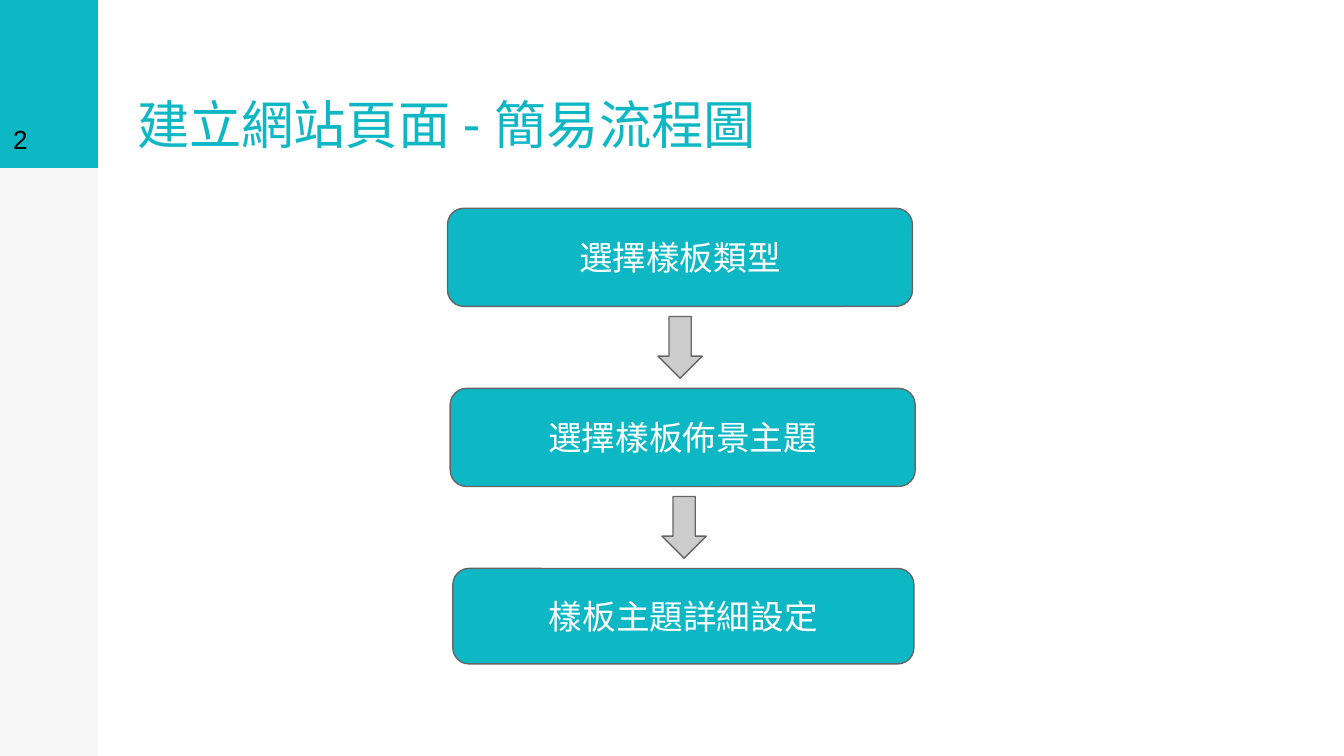
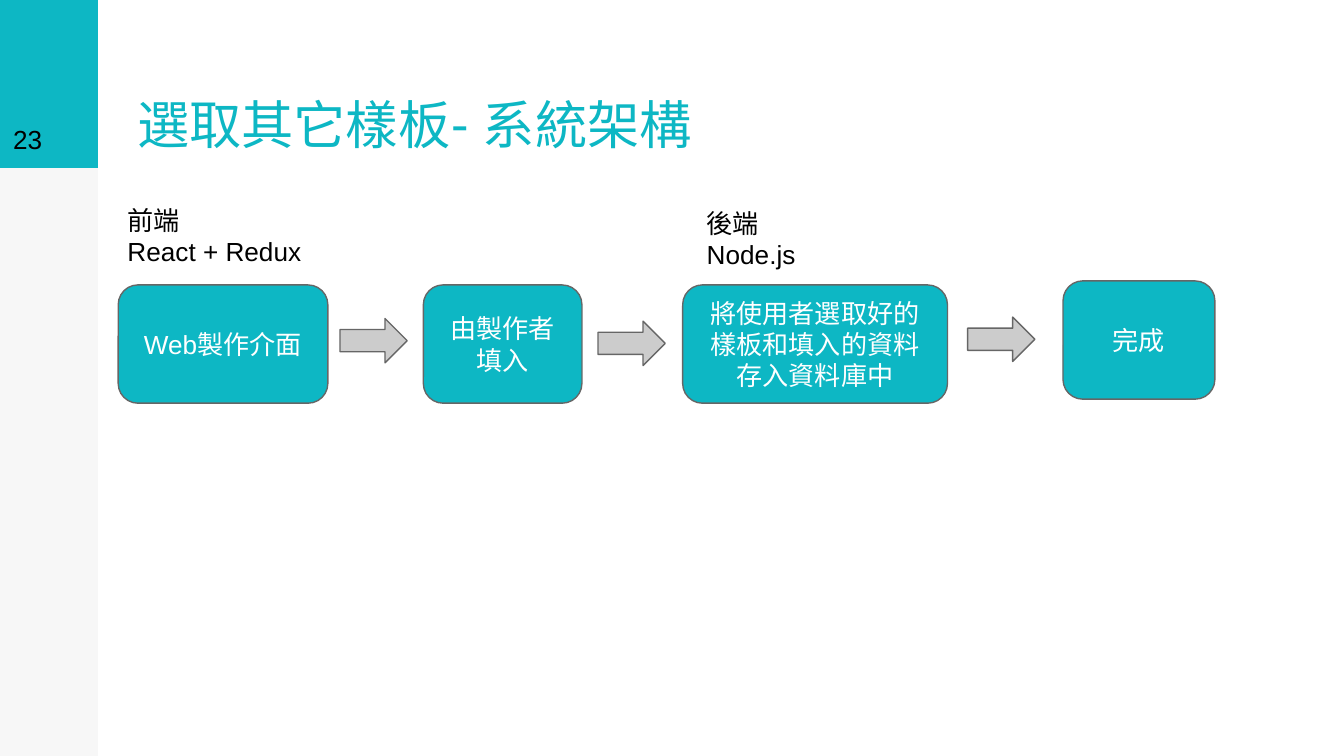
"""Build two flow-chart slides about making a website from templates."""
from pptx import Presentation
from pptx.dml.color import RGBColor
from pptx.enum import shapes, text
from pptx.util import Inches, Pt

TEAL = RGBColor(0x0D, 0xB7, 0xC4)
PALE = RGBColor(0xF7, 0xF7, 0xF7)
GREY = RGBColor(0xCC, 0xCC, 0xCC)
OUTLINE = RGBColor(0x66, 0x66, 0x66)
WHITE = RGBColor(0xFF, 0xFF, 0xFF)
BLACK = RGBColor(0x00, 0x00, 0x00)

SLIDE_W = 10
SLIDE_H = SLIDE_W * 9 / 16
SIDEBAR_W, HEAD_H = 0.73, 1.25
STEP_W, STEP_H = 3.46, 0.73
STAGE_H = 0.88
ARROW_H = 0.33
MARGINS = dict.fromkeys(
    ("margin_left", "margin_top", "margin_right", "margin_bottom"), Inches(0.1))


def set_text(sp, lines, size, color, font="Arial", align=text.PP_ALIGN.LEFT,
             anchor=text.MSO_ANCHOR.TOP):
    """Write lines as paragraphs and format them."""
    tf = sp.text_frame
    frame_format = {**MARGINS, "word_wrap": True, "vertical_anchor": anchor,
                    "auto_size": text.MSO_AUTO_SIZE.NONE}
    for name, value in frame_format.items():
        setattr(tf, name, value)
    tf.text = "\n".join(lines)
    for p in tf.paragraphs:
        p.alignment = align
        r = p.runs[0]
        for name, value in {"name": font, "size": Pt(size)}.items():
            setattr(r.font, name, value)
        r.font.color.rgb = color


def add_shape(s, kind, box, fill, line=None):
    """Add a flat preset shape with an optional thin outline."""
    sp = s.shapes.add_shape(kind, *map(Inches, box))
    sp.shadow.inherit = False
    sp.fill.solid()
    sp.fill.fore_color.rgb = fill
    if line is None:
        sp.line.fill.background()
    else:
        sp.line.color.rgb = line
        sp.line.width = Pt(0.75)
    return sp


def add_box(s, label, box, size):
    """Add a rounded teal box with a centred label."""
    sp = add_shape(s, shapes.MSO_SHAPE.ROUNDED_RECTANGLE, box, TEAL, OUTLINE)
    set_text(sp, [label], size, WHITE, align=text.PP_ALIGN.CENTER,
             anchor=text.MSO_ANCHOR.MIDDLE)


def add_arrow(s, left, top, width, rotation=0):
    """Add a grey block arrow."""
    sp = add_shape(s, shapes.MSO_SHAPE.RIGHT_ARROW,
                   (left, top, width, ARROW_H), GREY, OUTLINE)
    sp.rotation = rotation


def add_text(s, lines, box, **style):
    """Add a 14-point black text box."""
    sp = s.shapes.add_textbox(*map(Inches, box))
    set_text(sp, lines, 14, BLACK, **style)


def add_slide(prs, title, number):
    """Add a slide with the sidebar, its number and a title."""
    s = prs.slides.add_slide(prs.slide_layouts[5])
    rect = shapes.MSO_SHAPE.RECTANGLE
    add_shape(s, rect, (0, 0, SIDEBAR_W, SLIDE_H), PALE)
    add_shape(s, rect, (0, 0, SIDEBAR_W, HEAD_H), TEAL)
    add_text(s, [str(number)], (0, 0, SIDEBAR_W, HEAD_H),
             anchor=text.MSO_ANCHOR.BOTTOM)
    sp = s.shapes.title
    place = {"left": 0.92, "top": 0, "width": 6.02, "height": HEAD_H}
    for name, value in place.items():
        setattr(sp, name, Inches(value))
    set_text(sp, [title], 28, TEAL, font="Lato",
             anchor=text.MSO_ANCHOR.BOTTOM)
    return s


def build_steps(prs):
    """Build the vertical flow of template choices."""
    s = add_slide(prs, "建立網站頁面 - 簡易流程圖", 2)
    steps = [("選擇樣板類型", 3.33, STEP_W, STEP_H),
             ("選擇樣板佈景主題", 3.35, STEP_W, STEP_H),
             ("樣板主題詳細設定", 3.37, 3.43, 0.71)]
    for i, (label, left, width, height) in enumerate(steps):
        add_box(s, label, (left, 1.55 + 1.34 * i, width, height), 18)
    for i, left in enumerate((4.83, 4.86)):
        add_arrow(s, left, 2.42 + 1.34 * i, 0.46, rotation=90)


def build_architecture(prs):
    """Build the horizontal front-end to back-end flow."""
    s = add_slide(prs, "選取其它樣板- 系統架構", 23)
    stages = [("Web製作介面", 0.88, 2.12, 1.56),
              ("由製作者填入", 3.15, 2.12, 1.18),
              ("將使用者選取好的樣板和填入的資料存入資料庫中", 5.08, 2.12, 1.97),
              ("完成", 7.91, 2.09, 1.13)]
    for label, left, top, width in stages:
        add_box(s, label, (left, top, width, STAGE_H), 14)
    for left, top in ((2.53, 2.37), (4.45, 2.39), (7.2, 2.36)):
        add_arrow(s, left, top, 0.5)
    add_text(s, ["前端", "React + Redux"], (0.85, 1.42, 1.83, 0.7))
    add_text(s, ["後端", "Node.js"], (5.16, 1.44, 0.91, 0.7))


def main():
    """Create and save the presentation."""
    prs = Presentation()
    prs.slide_width, prs.slide_height = Inches(SLIDE_W), Inches(SLIDE_H)
    build_steps(prs)
    build_architecture(prs)
    prs.save("out.pptx")


if __name__ == "__main__":
    main()
